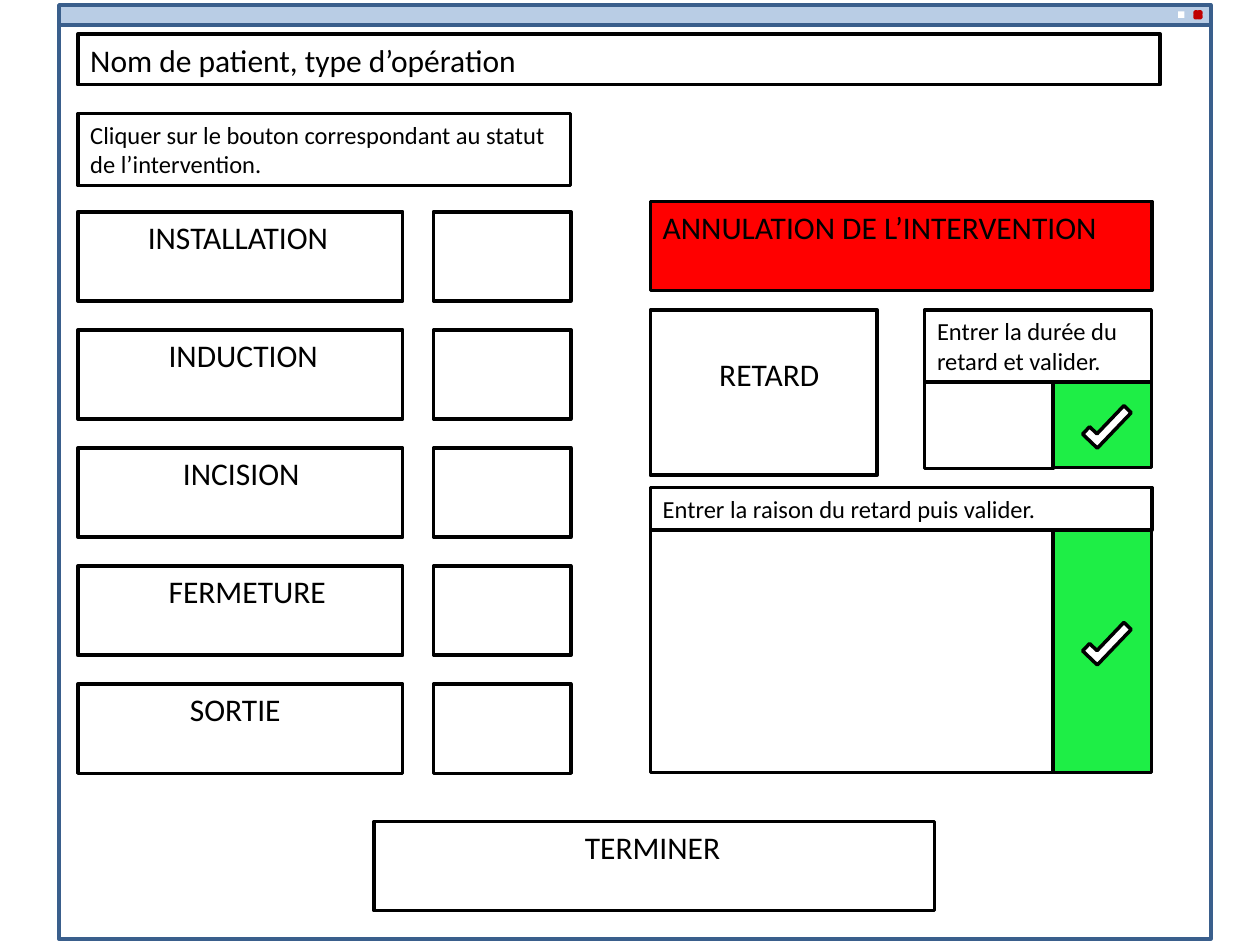
import pptx
import pptx.util
import pptx.dml.color
import pptx.enum.shapes
import pptx.enum.text
import pptx.oxml.ns

Cm = pptx.util.Cm
Pt = pptx.util.Pt
KIND = pptx.enum.shapes.MSO_SHAPE
COLORS = {
    "white": "FFFFFF", "black": "000000", "green": "1EEE46", "red": "FF0000",
    "frame": "3A5F8C", "bar": "B9CDE5", "close": "C00000",
}

deck = pptx.Presentation()
deck.slide_width = Cm(25.4)
deck.slide_height = Cm(19.05)
screen = deck.slides.add_slide(deck.slide_layouts[6])


def rgb(name):
    return pptx.dml.color.RGBColor.from_string(COLORS[name])


def add_part(left, top, width, height, fill="white", line="black", kind=KIND.RECTANGLE,
             label="", size=18, indent=0.25, drop=0.13):
    part = screen.shapes.add_shape(kind, Cm(left), Cm(top), Cm(width), Cm(height))
    part.shadow.inherit = False
    if fill:
        part.fill.solid()
        part.fill.fore_color.rgb = rgb(fill)
    else:
        part.fill.background()
    if line:
        part.line.color.rgb = rgb(line)
        part.line.width = Pt(2)
    else:
        part.line.fill.background()
    if label:
        frame_format = {
            "word_wrap": True, "vertical_anchor": pptx.enum.text.MSO_ANCHOR.TOP,
            "margin_left": Cm(indent), "margin_top": Cm(drop),
        }
        for name, value in frame_format.items():
            setattr(part.text_frame, name, value)
        paragraph = part.text_frame.paragraphs[0]
        paragraph.alignment = pptx.enum.text.PP_ALIGN.LEFT
        run = paragraph.add_run()
        run.text = label
        for name, value in {"name": "Calibri", "size": Pt(size)}.items():
            setattr(run.font, name, value)
        run.font.color.rgb = rgb("black")
    return part


left_edge, right_edge, button_height = 1.57, 13.11, 1.8
validate_left, validate_width = 21.23, 1.98
delay_left, delay_width = 18.64, 4.57

add_part(right_edge, 10.62, 8.13, 4.95)
add_part(validate_left, 10.62, validate_width, 4.95, "green")
add_part(right_edge, 6.25, delay_width, 3.33, label="RETARD", indent=1.39, drop=0.9)
add_part(delay_left, 7.65, 2.59, button_height)
add_part(validate_left, 7.65, validate_width, 1.78, "green")

stages = [("INSTALLATION", 1.41), ("INDUCTION", 1.83), ("INCISION", 2.12),
          ("FERMETURE", 1.83), ("SORTIE", 2.26)]
for row, (stage, indent) in enumerate(stages):
    stage_top = 4.27 + row * 2.38
    add_part(left_edge, stage_top, 6.55, button_height, label=stage, indent=indent)
    add_part(8.74, stage_top, 2.77, button_height)

add_part(right_edge, 9.83, 10.11, 0.86, label="Entrer la raison du retard puis valider.", size=14)
add_part(delay_left, 6.25, delay_width, 1.45, label="Entrer la durée du retard et valider.", size=14)
add_part(right_edge, 4.06, 10.11, button_height, "red", label="ANNULATION DE L’INTERVENTION")

for check_top in (8.33, 12.7):
    check = add_part(21.82, check_top, 0.99, 0.41)
    check.rotation = 313.7
    outline = next(check.element.iter(pptx.oxml.ns.qn("a:prstGeom")))
    outline.set("prst", "corner")

add_part(left_edge, 2.29, 9.93, 1.45, size=14,
         label="Cliquer sur le bouton correspondant au statut de l’intervention.")
add_part(7.54, 16.56, 11.3, button_height, label="TERMINER", indent=4.25)
add_part(left_edge, 0.69, 21.82, 1.02, label="Nom de patient, type d’opération")

add_part(1.19, 0.51, 23.22, 18.42, None, "frame")
add_part(1.19, 0.1, 23.22, 0.41, "bar", "frame")
add_part(24.05, 0.2, 0.2, 0.2, "close", "close", KIND.MATH_MULTIPLY)
add_part(23.75, 0.23, 0.13, 0.13, line=None)

deck.save("out.pptx")
